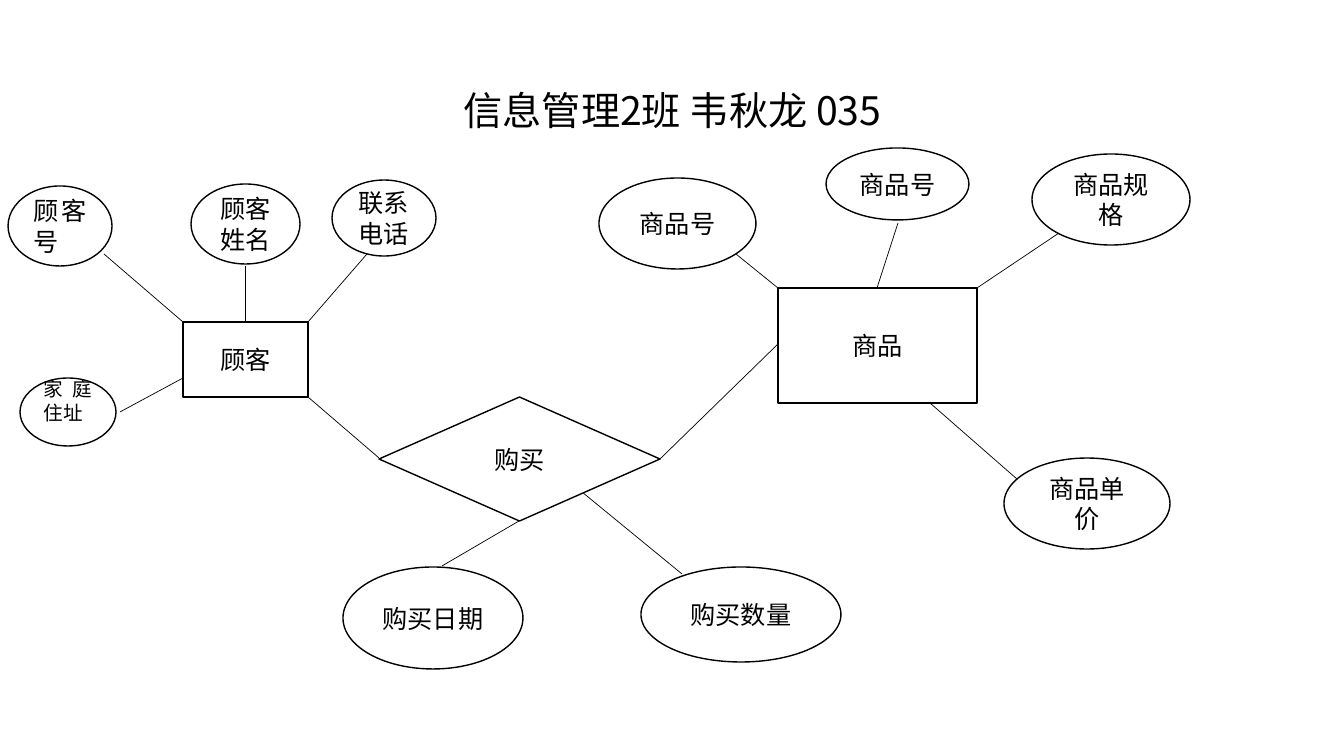
"""Build an entity-relationship slide of customers, purchases and goods."""
from dataclasses import dataclass

from lxml import etree
from pptx import Presentation, util as u
from pptx.dml.color import RGBColor
from pptx.enum import shapes, text
from pptx.oxml import ns


@dataclass(frozen=True)
class Theme:
    ink: RGBColor = RGBColor(0, 0, 0)
    paper: RGBColor = RGBColor(255, 255, 255)
    font: str = "Noto Sans CJK SC"
    title: float = 28
    body: float = 18
    small: float = 14
    outline: float = 1
    link: float = 0.5


theme = Theme()
PX = 914400 / 100.8
CENTER, JUSTIFY = text.PP_ALIGN.CENTER, text.PP_ALIGN.JUSTIFY


def px(*lengths):
    return [u.Emu(round(length * PX)) for length in lengths]


def write(frame, words, size=theme.body, align=CENTER, spacing=None):
    frame.word_wrap = True
    frame.vertical_anchor = text.MSO_ANCHOR.MIDDLE
    para = frame.paragraphs[0]
    para.alignment = align
    para.line_spacing = spacing
    span = para.add_run()
    span.text = words
    span.font.size = u.Pt(size)
    span.font.name = theme.font
    span.font.color.rgb = theme.ink
    etree.SubElement(span.font._element, ns.qn("a:ea"), typeface=theme.font)


deck = Presentation()
deck.slide_width, deck.slide_height = px(1344, 756)
page = deck.slides.add_slide(deck.slide_layouts[5])

title = page.shapes.title
title.left, title.top, title.width, title.height = px(93, 40, 1159, 146)
write(title.text_frame, "信息管理2班 韦秋龙 035", size=theme.title, spacing=0.9)

links = [
    (245, 322, 245, 266),
    (308, 322, 367, 254),
    (183, 322, 104, 254),
    (183, 378, 120, 412),
    (308, 397, 379, 458),
    (660, 459, 778, 344),
    (778, 288, 731, 250),
    (877, 288, 898, 223),
    (977, 288, 1059, 233),
    (930, 403, 1017, 479),
    (519, 521, 442, 566),
    (582, 492, 682, 574),
]
for ends in links:
    link = page.shapes.add_connector(shapes.MSO_CONNECTOR.STRAIGHT, *px(*ends))
    link.line.color.rgb = theme.ink
    link.line.width = u.Pt(theme.link)
    etree.SubElement(link._element.spPr, ns.qn("a:effectLst"))

ENTITY = shapes.MSO_SHAPE.RECTANGLE
RELATION = shapes.MSO_SHAPE.FLOWCHART_DECISION
ATTRIBUTE = shapes.MSO_SHAPE.OVAL
nodes = [
    (ENTITY, "顾客", (183, 322, 125, 75), {}),
    (ATTRIBUTE, "顾客号", (8, 186, 104, 80), {"align": JUSTIFY}),
    (ATTRIBUTE, "顾客姓名", (191, 184, 109, 80), {}),
    (ATTRIBUTE, "联系电话", (332, 180, 104, 76), {}),
    (ATTRIBUTE, "家庭住址", (20, 378, 96, 68), {"align": JUSTIFY, "size": theme.small}),
    (RELATION, "购买", (379, 397, 281, 124), {}),
    (ATTRIBUTE, "购买日期", (343, 567, 180, 102), {}),
    (ATTRIBUTE, "购买数量", (641, 567, 200, 95), {}),
    (ENTITY, "商品", (778, 288, 199, 115), {}),
    (ATTRIBUTE, "商品号", (599, 178, 157, 91), {}),
    (ATTRIBUTE, "商品号", (826, 148, 143, 72), {}),
    (ATTRIBUTE, "商品规格", (1032, 154, 158, 91), {}),
    (ATTRIBUTE, "商品单价", (1004, 458, 166, 91), {}),
]
for kind, words, place, style in nodes:
    box = page.shapes.add_shape(kind, *px(*place))
    box.shadow.inherit = False
    box.fill.solid()
    box.fill.fore_color.rgb = theme.paper
    box.line.color.rgb = theme.ink
    box.line.width = u.Pt(theme.outline)
    write(box.text_frame, words, **style)
    if words == "家庭住址":
        box.text_frame.margin_bottom = px(28)[0]

deck.save("out.pptx")
